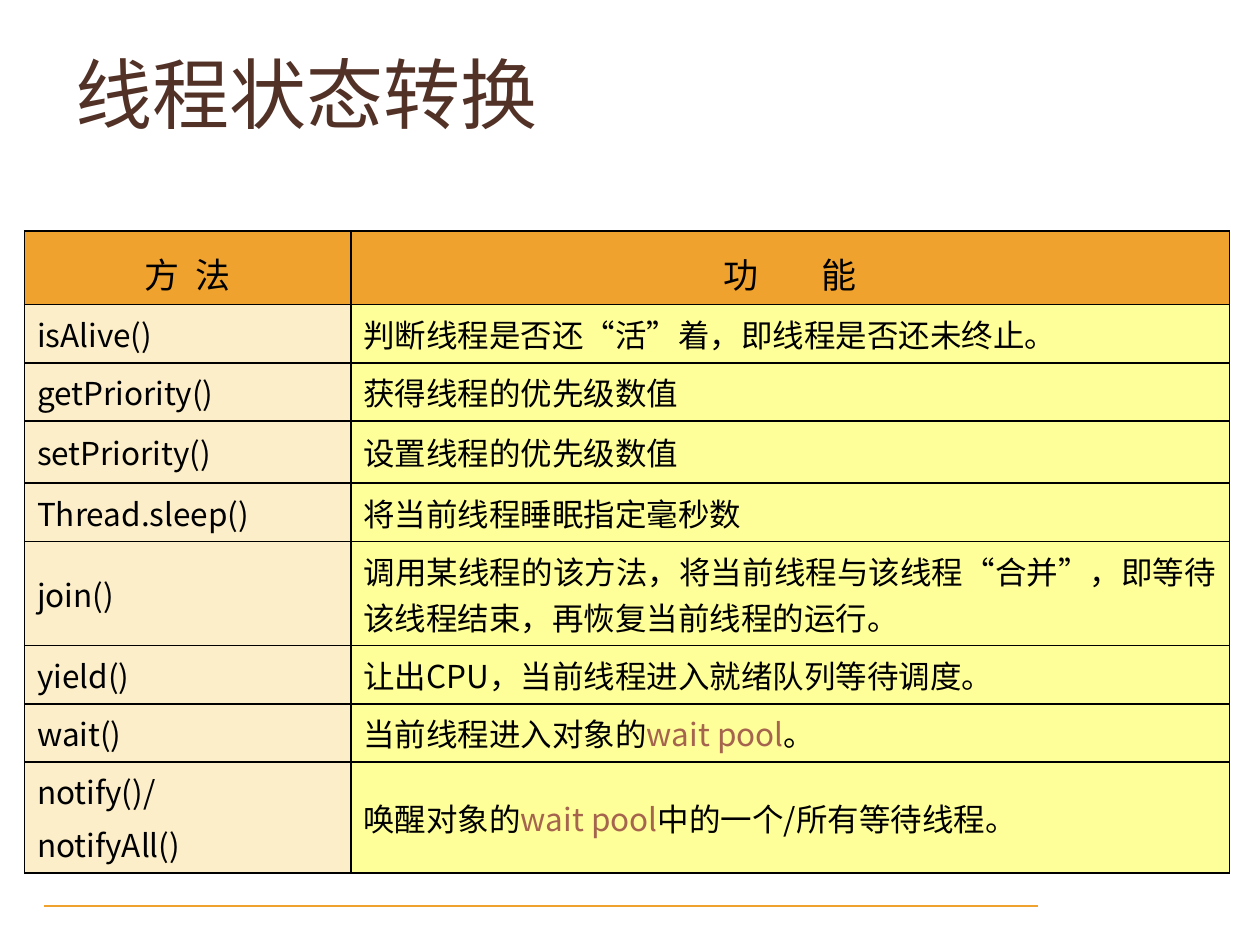
from lxml.etree import SubElement
from pptx import Presentation
from pptx.dml.color import RGBColor
from pptx.enum.shapes import MSO_SHAPE
from pptx.enum.text import MSO_ANCHOR, PP_ALIGN
from pptx.oxml.ns import qn
from pptx.util import Pt

FONT = "Noto Sans CJK SC"
COLORS = {name: RGBColor.from_string(value) for name, value in {
    "title": "523227", "text": "000000", "accent": "A5644E", "orange": "F0A22E",
    "method": "FBEEC9", "function": "FFFF99", "white": "FFFFFF"}.items()}
POOL = "wait pool"
ROWS = [  # height, method, function
    (42, "方  法", "功        能"),
    (33, "isAlive()", "判断线程是否还“活”着，即线程是否还未终止。"),
    (33, "getPriority()", "获得线程的优先级数值"),
    (35.5, "setPriority()", "设置线程的优先级数值"),
    (33, "Thread.sleep()", "将当前线程睡眠指定毫秒数"),
    (59.5, "join()", "调用某线程的该方法，将当前线程与该线程“合并”，即等待该线程结束，再恢复当前线程的运行。"),
    (33, "yield()", "让出CPU，当前线程进入就绪队列等待调度。"),
    (33, "wait()", f"当前线程进入对象的{POOL}。"),
    (63, "notify()/\nnotifyAll()", f"唤醒对象的{POOL}中的一个/所有等待线程。"),
]


def style(p, size, color):
    p.font.size = Pt(size)
    p.font.name = FONT
    p.font.color.rgb = COLORS[color]
    SubElement(p.font._element, qn("a:ea"), typeface=FONT)


def add_borders(cell):
    tcPr = cell._tc.get_or_add_tcPr()
    for i, side in enumerate(("lnL", "lnR", "lnT", "lnB")):
        ln = tcPr.makeelement(qn(f"a:{side}"), {"w": str(Pt(1))})
        fill = SubElement(ln, qn("a:solidFill"))
        SubElement(fill, qn("a:srgbClr"), val=str(COLORS["text"]))
        tcPr.insert(i, ln)


prs = Presentation()
prs.slide_width, prs.slide_height = Pt(720), Pt(540)
s = prs.slides.add_slide(prs.slide_layouts[5])

# Footer rule
sp = s.shapes.add_shape(MSO_SHAPE.RECTANGLE, Pt(24), Pt(516), Pt(570), Pt(3.6))
sp.shadow.inherit = False
sp.fill.solid()
sp.fill.fore_color.rgb = COLORS["orange"]
sp.line.color.rgb = COLORS["white"]
sp.line.width = Pt(2)

# Method table
table = s.shapes.add_table(len(ROWS), 2, Pt(14), Pt(132), Pt(688.5),
                           Pt(sum(row[0] for row in ROWS))).table
table.columns[0].width, table.columns[1].width = Pt(186.5), Pt(502)
for r, (height, *texts) in enumerate(ROWS):
    table.rows[r].height = Pt(height)
    for c, text in enumerate(texts):
        cell = table.cell(r, c)
        cell.vertical_anchor = MSO_ANCHOR.MIDDLE
        cell.fill.solid()
        cell.fill.fore_color.rgb = COLORS["orange" if r == 0 else ("method", "function")[c]]
        add_borders(cell)
        tf = cell.text_frame
        tf.text = text
        for p in tf.paragraphs:
            p.space_after = Pt(4)
            p.alignment = PP_ALIGN.JUSTIFY if r else PP_ALIGN.CENTER
            if r == 0:
                p.line_spacing = 1.2
            style(p, 18 if r else 20, "text")
        # Highlight the pool name inside the sentence
        if POOL in text:
            before, after = text.split(POOL)
            p = tf.paragraphs[0]
            p.runs[0].text = before
            run = p.add_run()
            run.text = POOL
            run.font.color.rgb = COLORS["accent"]
            p.add_run().text = after

# Title
title = s.shapes.title
title.left, title.top, title.width, title.height = Pt(36), Pt(21.5), Pt(492), Pt(63)
tf = title.text_frame
tf.text = "线程状态转换"
tf.vertical_anchor = MSO_ANCHOR.MIDDLE
p = tf.paragraphs[0]
p.alignment = PP_ALIGN.LEFT
style(p, 44, "title")

prs.save("out.pptx")
